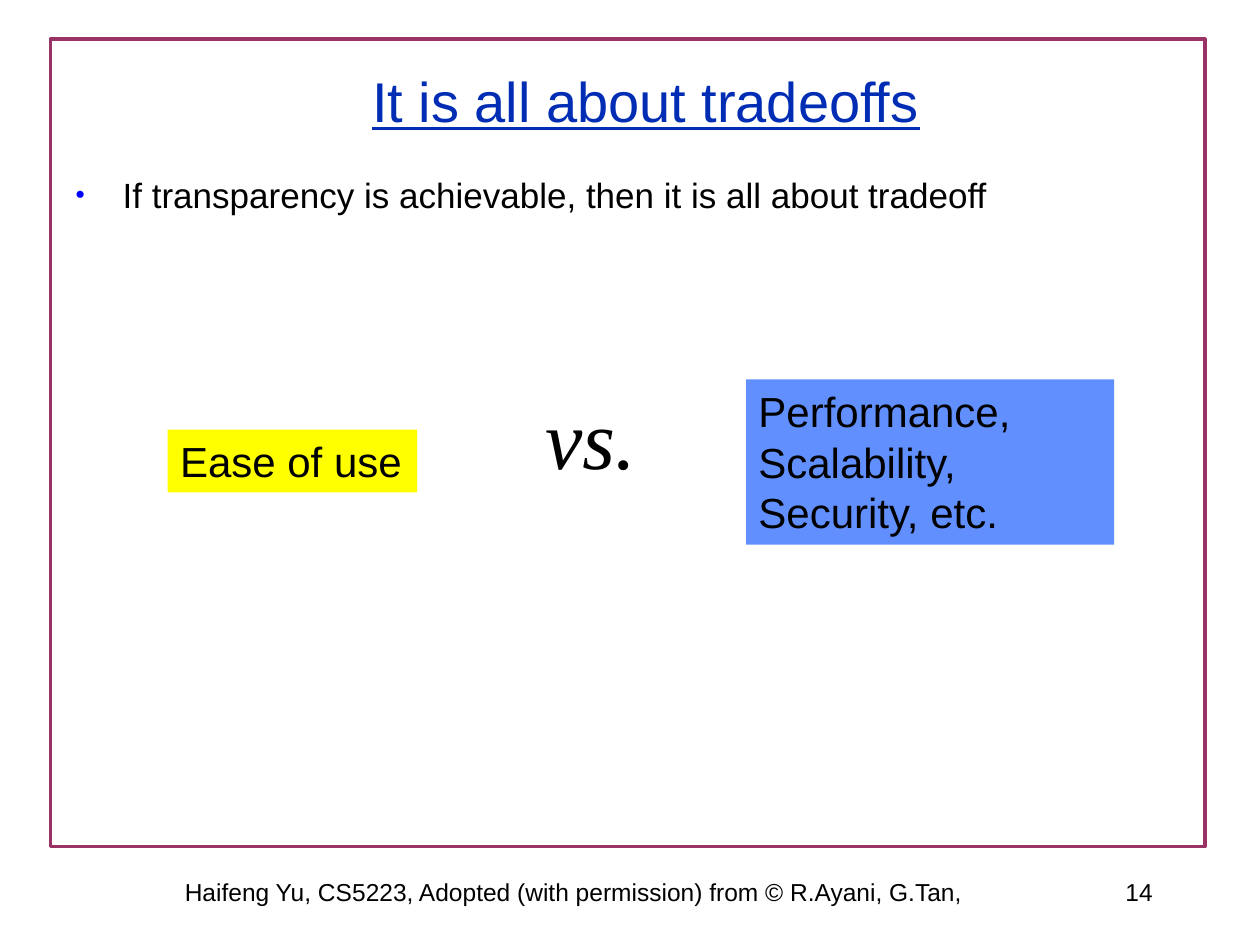
from dataclasses import dataclass

from lxml.etree import SubElement
from pptx import Presentation
from pptx.dml.color import RGBColor
from pptx.enum.shapes import MSO_SHAPE as Preset
from pptx.enum.text import MSO_ANCHOR as Anchor, MSO_AUTO_SIZE as AutoSize, PP_ALIGN as Align
from pptx.oxml.ns import qn
from pptx.util import Cm, Pt


@dataclass(frozen=True)
class Theme:
    """Colours, fonts and type sizes of the slide."""
    text: str = "000000"
    title: str = "002DB4"
    bullet: str = "0000FF"
    frame: str = "993366"
    ease: str = "FFFF00"
    qualities: str = "618FFD"
    sans: str = "Arial"
    serif: str = "Times New Roman"
    title_size: int = 32
    body_size: int = 20
    box_size: int = 24
    versus_size: int = 48
    footer_size: int = 14


theme = Theme()


def place(shape, left, top, width, height):
    """Move and size a shape, in centimetres."""
    shape.left, shape.top = Cm(left), Cm(top)
    shape.width, shape.height = Cm(width), Cm(height)


def write(shape, text, size, align=Align.LEFT, anchor=Anchor.TOP, wrap=True,
          grow=False, color=theme.text, font=theme.sans):
    """Fill a shape with one formatted paragraph and return its run's font."""
    frame = shape.text_frame
    frame.text = text
    frame.word_wrap = wrap
    frame.auto_size = AutoSize.SHAPE_TO_FIT_TEXT if grow else AutoSize.NONE
    frame.vertical_anchor = anchor
    paragraph = frame.paragraphs[0]
    paragraph.alignment = align
    run_font = paragraph.runs[0].font
    run_font.name, run_font.size = font, Pt(size)
    run_font.color.rgb = RGBColor.from_string(color)
    return run_font


deck = Presentation()
deck.slide_width, deck.slide_height = Cm(25.4), Cm(19.05)
slide = deck.slides.add_slide(deck.slide_layouts[1])
shapes = slide.shapes

# Border around the content area
border = shapes.add_shape(Preset.RECTANGLE, Cm(1.02), Cm(0.79), Cm(23.27), Cm(16.28))
border.shadow.inherit = False
border.fill.background()
border.line.color.rgb = RGBColor.from_string(theme.frame)
border.line.width = Pt(2)

# Title and bullet
title = shapes.title
place(title, 1.17, 1.07, 23.7, 1.9)
write(title, "It is all about tradeoffs", theme.title_size, Align.CENTER,
      Anchor.MIDDLE, color=theme.title).underline = True

body = slide.placeholders[1]
place(body, 1.27, 3.38, 22.66, 12.27)
write(body, "If transparency is achievable, then it is all about tradeoff", theme.body_size)
bullet = body.text_frame.paragraphs[0]._p.get_or_add_pPr()
bullet.set("marL", str(Cm(0.95)))
bullet.set("indent", str(Cm(-0.95)))
bullet_color = SubElement(bullet, qn("a:buClr"))
SubElement(bullet_color, qn("a:srgbClr"), val=theme.bullet)
SubElement(bullet, qn("a:buSzPct"), val="75000")
SubElement(bullet, qn("a:buChar"), char="•")

# The two sides of the tradeoff
sides = [
    ("Ease of use", theme.ease, False, (3.38, 8.66, 5.03, 1.27)),
    ("Performance, Scalability, Security, etc.", theme.qualities, True,
     (15.04, 7.65, 7.42, 3.33)),
]
for label, color, wrap, area in sides:
    side = shapes.add_shape(Preset.RECTANGLE, *map(Cm, area))
    side.shadow.inherit = False
    side.fill.solid()
    side.fill.fore_color.rgb = RGBColor.from_string(color)
    side.line.fill.background()
    write(side, label, theme.box_size, wrap=wrap, grow=True)

versus = shapes.add_textbox(Cm(10.74), Cm(7.65), Cm(2.36), Cm(2.31))
write(versus, "vs.", theme.versus_size, wrap=False, grow=True, font=theme.serif).italic = True

# Footer line
footers = [
    ("Haifeng Yu, CS5223, Adopted (with permission) from © R.Ayani, G.Tan, ",
     Align.CENTER, 0.84, 21.59),
    ("14", Align.RIGHT, 18.21, 5.28),
]
for label, align, left, width in footers:
    footer = shapes.add_textbox(Cm(left), Cm(17.35), Cm(width), Cm(1.27))
    write(footer, label, theme.footer_size, align, Anchor.MIDDLE, wrap=False)

deck.save("out.pptx")
